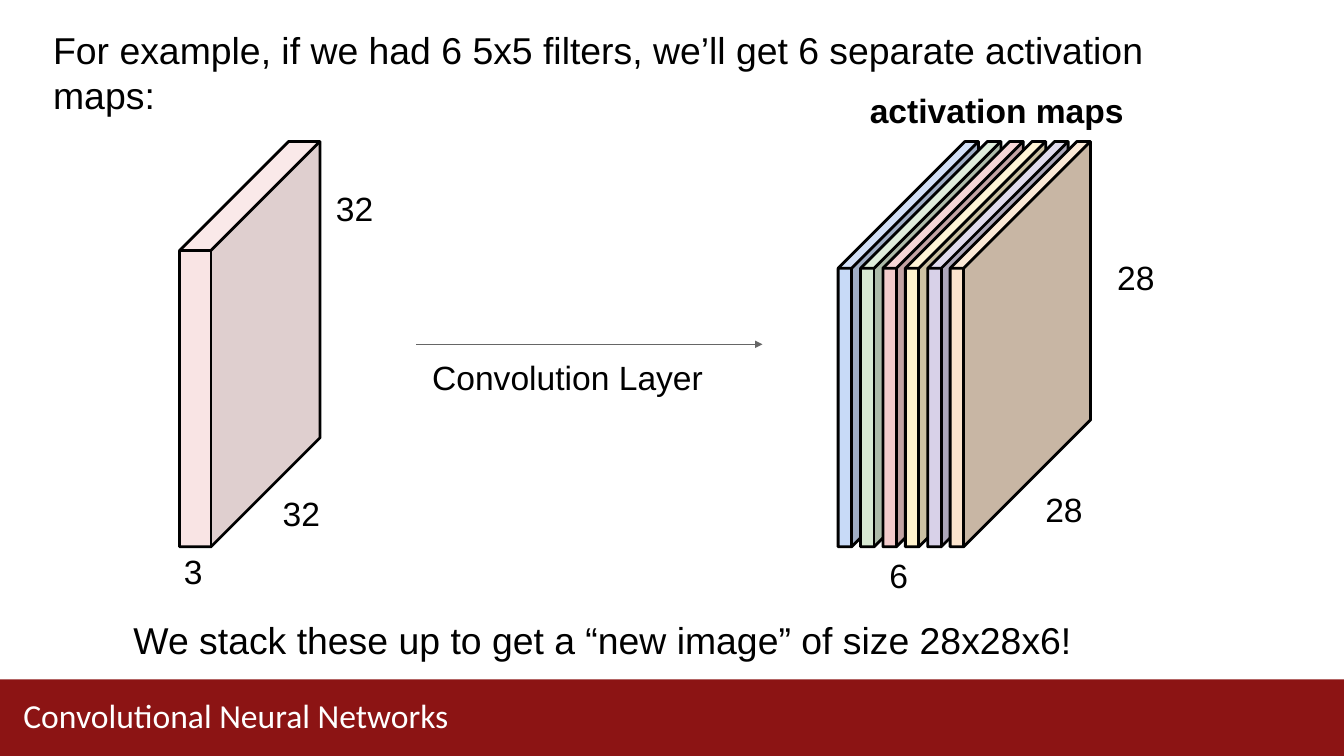
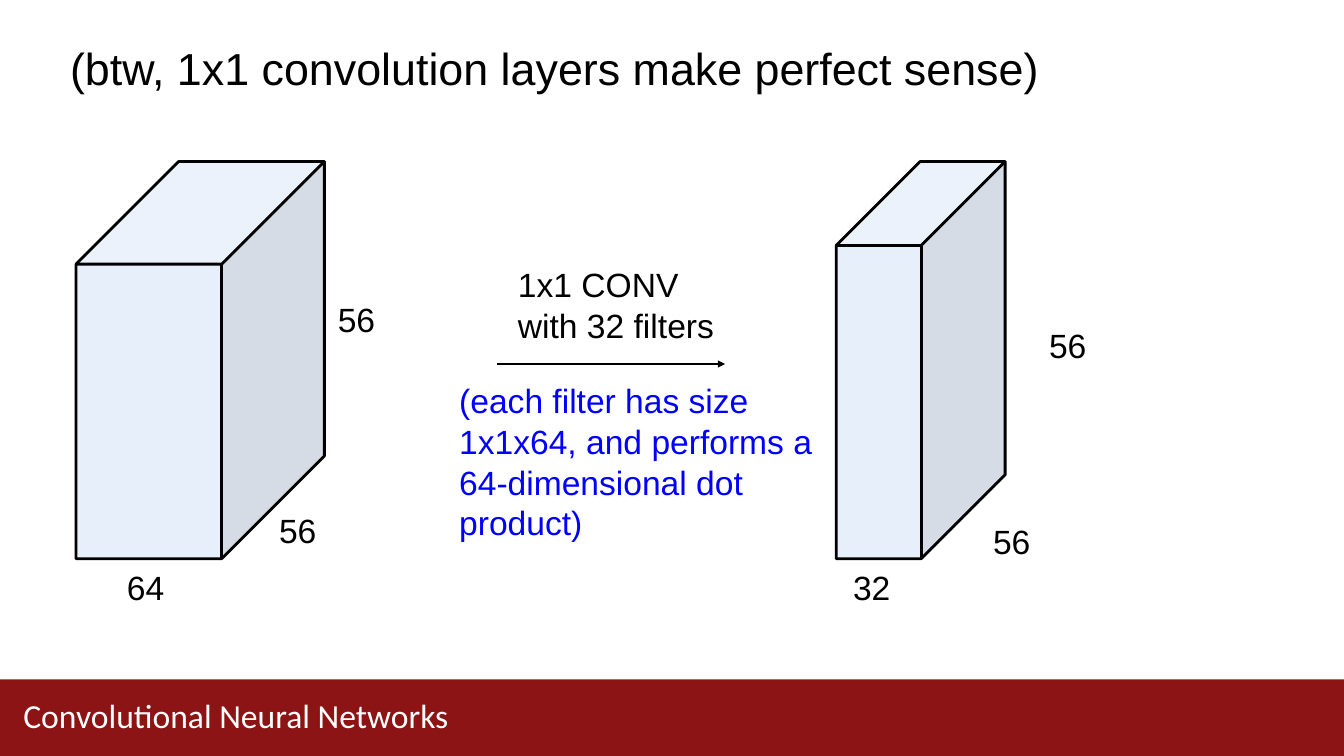
from dataclasses import dataclass

from lxml import etree
from pptx import Presentation
from pptx.dml.color import RGBColor
from pptx.enum import shapes, text
from pptx.oxml import ns
from pptx.util import Length, Pt


@dataclass(frozen=True)
class Theme:
    black: RGBColor = RGBColor(0, 0, 0)
    white: RGBColor = RGBColor(255, 255, 255)
    gray: RGBColor = RGBColor.from_string("666666")
    blue: RGBColor = RGBColor.from_string("0000FF")
    band: RGBColor = RGBColor.from_string("8C1414")
    input_pink: RGBColor = RGBColor.from_string("F4CCCC")
    volume_blue: RGBColor = RGBColor.from_string("C8DAF7")
    map_colors: tuple[str, ...] = ("C8DAF7", "D8E9D3", "F4CCCC", "FFF2CC", "D8D1E8", "FBE4CD")
    body_font: str = "Arial"
    footer_font: str = "Calibri"
    label_size: float = 18
    sentence_size: float = 20
    title_size: float = 24
    outline: float = 1.5
    arrow: float = 0.75


THEME = Theme()
WIDTH, HEIGHT, BAND_TOP = 720, 405, 364


@dataclass(frozen=True)
class Label:
    text: str
    left: float
    top: float
    width: float
    height: float = 24
    size: float = THEME.label_size
    color: RGBColor = THEME.black
    font: str = THEME.body_font
    bold: bool = False
    inset_left: float = 1
    inset_top: float = 2
    line_spacing: float | Length | None = None


@dataclass(frozen=True)
class Cuboid:
    """A box seen from the front left; top is the upper edge of its back."""
    left: float
    top: float
    bottom: float
    width: float
    depth: float
    color: RGBColor
    opacity: int = 100


@dataclass(frozen=True)
class Arrow:
    start: float
    end: float
    y: float
    color: RGBColor


FOOTER = Label("Convolutional Neural Networks", 11.5, 373, 370, 21, color=THEME.white,
               font=THEME.footer_font, inset_top=0, line_spacing=Pt(20.9))


def blend(color: RGBColor, target: RGBColor, share: float) -> RGBColor:
    return RGBColor(*(int(a + (b - a) * share) for a, b in zip(color, target)))


def add_label(slide, label: Label) -> None:
    box = slide.shapes.add_textbox(Pt(label.left), Pt(label.top), Pt(label.width), Pt(label.height))
    frame = box.text_frame
    frame.word_wrap = True
    frame.vertical_anchor = text.MSO_ANCHOR.TOP
    frame.margin_left, frame.margin_top = Pt(label.inset_left), Pt(label.inset_top)
    frame.margin_right = frame.margin_bottom = 0
    frame.text = label.text
    for paragraph in frame.paragraphs:
        if label.line_spacing is not None:
            paragraph.line_spacing = label.line_spacing
        paragraph.font.name = label.font
        paragraph.font.size = Pt(label.size)
        paragraph.font.bold = label.bold
        paragraph.font.color.rgb = label.color


def add_outline(group, *contours: list[tuple[float, float]], closed: int):
    """Build one freeform, closing only the first `closed` contours."""
    builder = None
    for index, contour in enumerate(contours):
        (x, y), *rest = [(Pt(x), Pt(y)) for x, y in contour]
        if builder is None:
            builder = group.shapes.build_freeform(x, y)
        else:
            builder.move_to(x, y)
        builder.add_line_segments(rest, close=index < closed)
    shape = builder.convert_to_shape()
    shape.shadow.inherit = False
    return shape


def add_cuboid(slide, cuboid: Cuboid) -> None:
    left, right = cuboid.left, cuboid.left + cuboid.width
    front_top, depth = cuboid.top + cuboid.depth, cuboid.depth
    bottom_left, bottom_right = (left, cuboid.bottom), (right, cuboid.bottom)
    front_left, front_right = (left, front_top), (right, front_top)
    back_left, back_right = (left + depth, cuboid.top), (right + depth, cuboid.top)
    back_bottom = (right + depth, cuboid.bottom - depth)

    group = slide.shapes.add_group_shape()
    faces = (
        ([bottom_right, bottom_left, front_left, front_right], cuboid.color),
        ([bottom_right, front_right, back_right, back_bottom],
         blend(cuboid.color, THEME.black, 0.2)),
        ([front_right, front_left, back_left, back_right],
         blend(cuboid.color, THEME.white, 0.2)),
    )
    for corners, color in faces:
        face = add_outline(group, corners, closed=1)
        face.fill.solid()
        face.fill.fore_color.rgb = color
        face.line.fill.background()
        if cuboid.opacity < 100:
            color_element = face.element.spPr.find(f"{ns.qn('a:solidFill')}/{ns.qn('a:srgbClr')}")
            etree.SubElement(color_element, ns.qn("a:alpha"), val=str(cuboid.opacity * 1000))

    edges = add_outline(
        group,
        [front_left, back_left, back_right, back_bottom, bottom_right, bottom_left],
        [front_left, front_right, back_right],
        [front_right, bottom_right],
        closed=1,
    )
    edges.fill.background()
    edges.line.color.rgb = THEME.black
    edges.line.width = Pt(THEME.outline)


def add_arrow(slide, arrow: Arrow) -> None:
    connector = slide.shapes.add_connector(
        shapes.MSO_CONNECTOR.STRAIGHT, Pt(arrow.start), Pt(arrow.y), Pt(arrow.end), Pt(arrow.y))
    connector.line.color.rgb = arrow.color
    connector.line.width = Pt(THEME.arrow)
    properties = connector.element.spPr
    etree.SubElement(properties.find(ns.qn("a:ln")), ns.qn("a:tailEnd"),
                     type="triangle", w="sm", len="sm")
    etree.SubElement(properties, ns.qn("a:effectLst"))


def add_slide(presentation, cuboids: list[Cuboid], arrow: Arrow, labels: list[Label]) -> None:
    slide = presentation.slides.add_slide(presentation.slide_layouts[6])
    band = slide.shapes.add_shape(shapes.MSO_SHAPE.RECTANGLE, 0, Pt(BAND_TOP),
                                  Pt(WIDTH), Pt(HEIGHT - BAND_TOP))
    band.shadow.inherit = False
    band.fill.solid()
    band.fill.fore_color.rgb = THEME.band
    band.line.fill.background()
    for cuboid in cuboids:
        add_cuboid(slide, cuboid)
    add_arrow(slide, arrow)
    for label in [*labels, FOOTER]:
        add_label(slide, label)


def dimension(value: int, left: float, top: float) -> Label:
    return Label(str(value), left, top, 22.5 if value > 9 else 12.5)


def add_activation_maps_slide(presentation) -> None:
    map_pitch = 12
    image = Cuboid(96.2, 75.8, 293, 16.8, 58.4, THEME.input_pink, opacity=52)
    maps = [Cuboid(449 + index * map_pitch, 75.8, 293, 7.2, 68, RGBColor.from_string(color))
            for index, color in enumerate(THEME.map_colors)]
    add_slide(presentation, [image, *maps], Arrow(223, 408.5, 184.5, THEME.gray), [
        Label("For example, if we had 6 5x5 filters, we’ll get 6 separate activation maps:",
              27.5, 12.5, 645, 50, THEME.sentence_size),
        dimension(32, 150.5, 262),
        dimension(32, 179, 98.5),
        dimension(3, 97.5, 293),
        Label("Convolution Layer", 230.5, 189, 148),
        Label("activation maps", 465, 46, 139, bold=True),
        dimension(6, 475.5, 295),
        dimension(28, 559, 260),
        dimension(28, 597.5, 135.5),
        Label("We stack these up to get a “new image” of size 28x28x6!",
              70.5, 328.5, 508, 26, THEME.sentence_size),
    ])


def add_one_by_one_slide(presentation) -> None:
    volumes = [Cuboid(left, 86.5, 299.3, width, depth, THEME.volume_blue, opacity=43)
               for left, width, depth in ((40.8, 78, 55), (448, 45.5, 45))]
    add_slide(presentation, volumes, Arrow(266.5, 388.5, 195, THEME.black), [
        Label("(btw, 1x1 convolution layers make perfect sense)", 18, 0, 685, 72,
              THEME.title_size, inset_left=19.5, inset_top=22),
        dimension(64, 67, 301.5),
        dimension(56, 148.5, 271),
        dimension(56, 180, 158),
        Label("1x1 CONV\nwith 32 filters", 276.5, 139.5, 109, 45.5),
        dimension(32, 456, 301.5),
        dimension(56, 531, 277),
        dimension(56, 561, 172),
        Label("(each filter has size 1x1x64, and performs a 64-dimensional dot product)",
              245, 201.5, 193, 88.5, color=THEME.blue, line_spacing=1.01),
    ])


def main() -> None:
    presentation = Presentation()
    presentation.slide_width, presentation.slide_height = Pt(WIDTH), Pt(HEIGHT)
    add_activation_maps_slide(presentation)
    add_one_by_one_slide(presentation)
    presentation.save("out.pptx")


if __name__ == "__main__":
    main()
